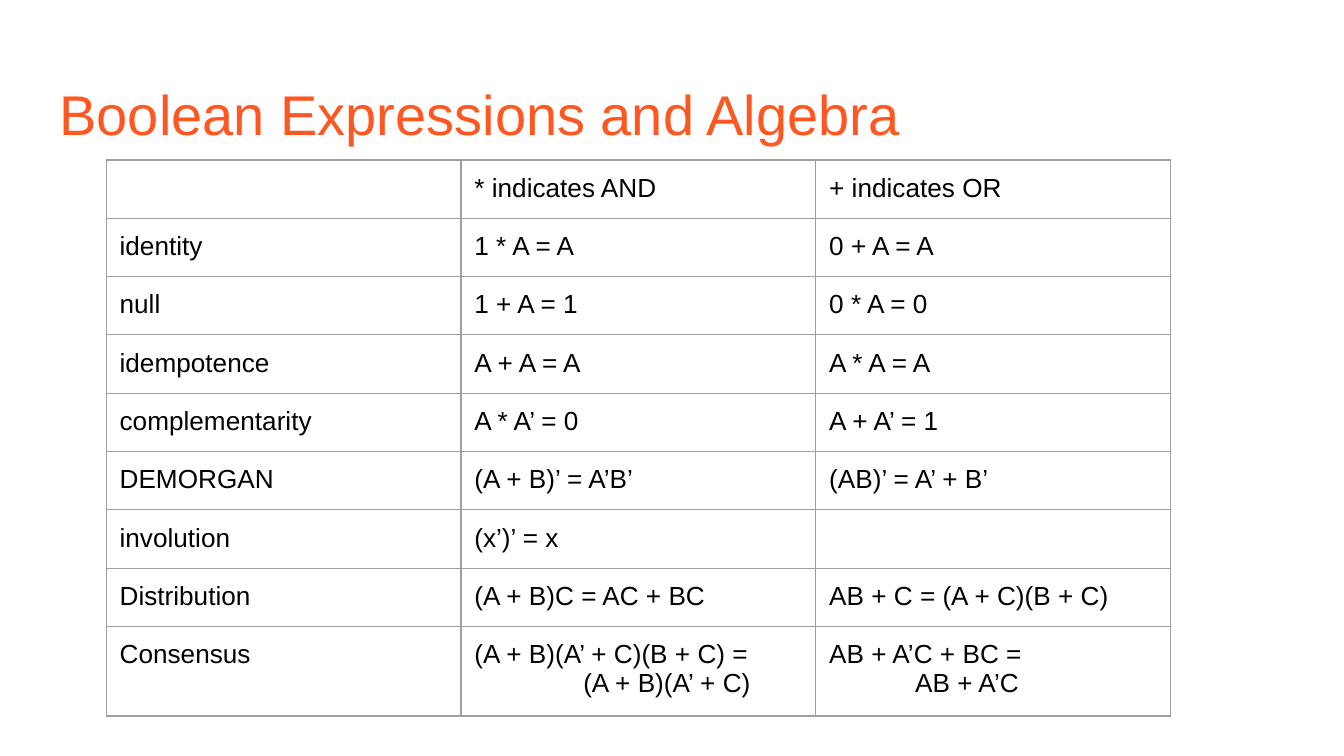
from lxml import etree
from pptx import Presentation
from pptx import util as u
from pptx.dml.color import RGBColor
from pptx.enum import text
from pptx.oxml.ns import qn

PX = 4572  # EMU per px, 200 px to the inch
FONT = "Arial"
COLORS = {"title": "FF5722", "body": "000000", "border": "9E9E9E"}
CELL_SIZE = 14
INSET = 20
COLUMN_WIDTH, ROW_HEIGHT = 528, 83

# A cell with two lines is (first line, second line, indent of the second in px).
LAWS = [
    ("", "* indicates AND", "+ indicates OR"),
    ("identity", "1 * A = A", "0 + A = A"),
    ("null", "1 + A = 1", "0 * A = 0"),
    ("idempotence", "A + A = A", "A * A = A"),
    ("complementarity", "A * A’ = 0", "A + A’ = 1"),
    ("DEMORGAN", "(A + B)’ = A’B’", "(AB)’ = A’ + B’"),
    ("involution", "(x’)’ = x", ""),
    ("Distribution", "(A + B)C = AC + BC", "AB + C = (A + C)(B + C)"),
    ("Consensus",
     ("(A + B)(A’ + C)(B + C) =", "(A + B)(A’ + C)", 162),
     ("AB + A’C + BC =", "AB + A’C", 128)),
]


def px(length):
    return u.Emu(length * PX)


def write(para, words, size=CELL_SIZE, color="body", indent=0):
    """Fill a paragraph; an empty one still gets its text size."""
    if indent:
        para._p.get_or_add_pPr().set("marL", str(px(indent)))
    if not words:
        etree.SubElement(para._p, qn("a:endParaRPr"), sz=str(size * 100))
        return
    span = para.add_run()
    span.text = words
    span.font.name = FONT
    span.font.size = u.Pt(size)
    span.font.color.rgb = RGBColor.from_string(COLORS[color])


def add_title(page, words):
    box = page.shapes.add_textbox(px(69), px(98), px(1864), px(126))
    frame = box.text_frame
    frame.word_wrap = True
    frame.vertical_anchor = text.MSO_ANCHOR.TOP
    frame.margin_left = frame.margin_right = frame.margin_top = px(INSET)
    frame.margin_bottom = 0
    write(frame.paragraphs[0], words, size=30, color="title")


def draw_borders(cell):
    props = cell._tc.get_or_add_tcPr()
    for position, side in enumerate(("lnL", "lnR", "lnT", "lnB")):
        line = etree.Element(qn(f"a:{side}"), w=str(u.Pt(0.75)))
        fill = etree.SubElement(line, qn("a:solidFill"))
        etree.SubElement(fill, qn("a:srgbClr"), val=COLORS["border"])
        props.insert(position, line)


def fill_cell(cell, content):
    cell.fill.background()
    cell.margin_left = cell.margin_right = px(INSET)
    cell.margin_top = cell.margin_bottom = px(INSET)
    draw_borders(cell)
    first, second, indent = content if isinstance(content, tuple) else (content, "", 0)
    write(cell.text_frame.paragraphs[0], first)
    if second:
        write(cell.text_frame.add_paragraph(), second, indent=indent)


def add_law_table(page, laws):
    rows, columns = len(laws), len(laws[0])
    table = page.shapes.add_table(
        rows, columns, px(158), px(238),
        px(COLUMN_WIDTH * columns), px(ROW_HEIGHT * rows)).table
    table.first_row = table.horz_banding = False
    for r, law in enumerate(laws):
        for c, content in enumerate(law):
            fill_cell(table.cell(r, c), content)


def main():
    deck = Presentation()
    deck.slide_width, deck.slide_height = px(2000), px(1125)
    page = deck.slides.add_slide(deck.slide_layouts[6])
    add_title(page, "Boolean Expressions and Algebra")
    add_law_table(page, LAWS)
    deck.save("out.pptx")


if __name__ == "__main__":
    main()
